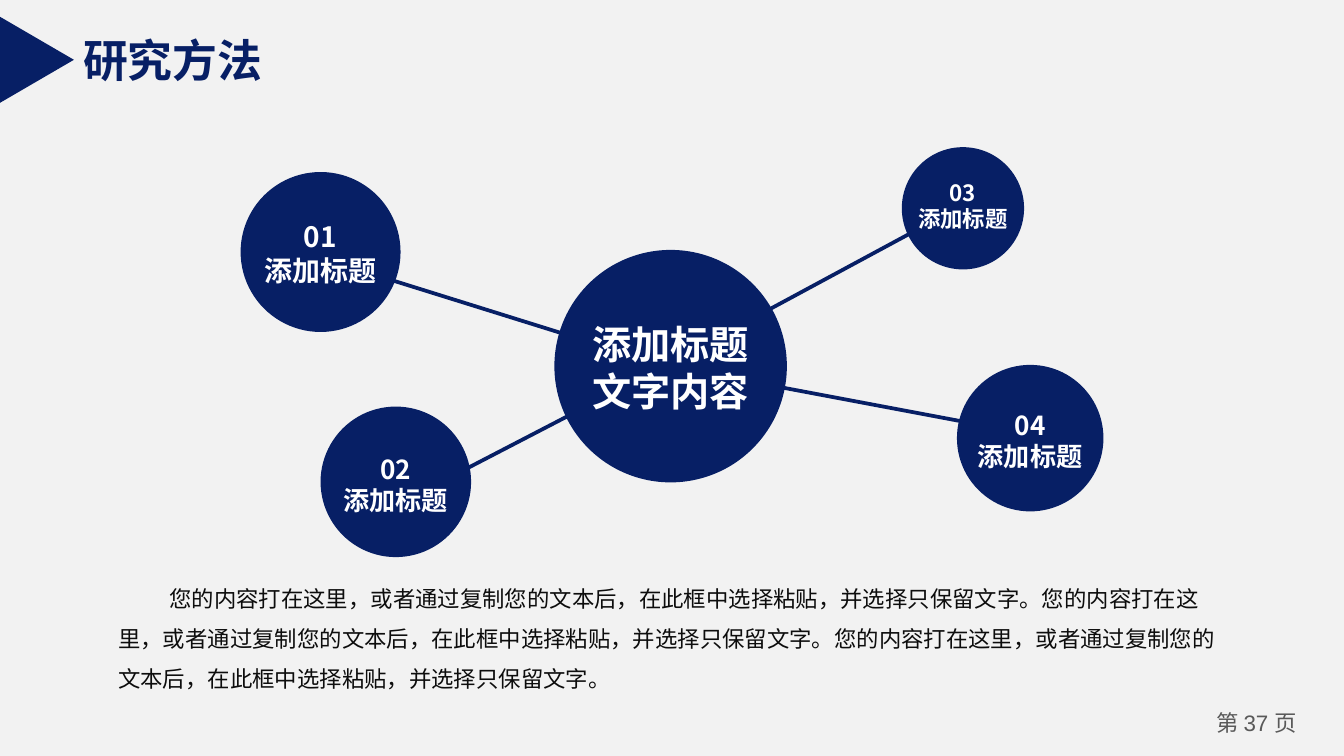
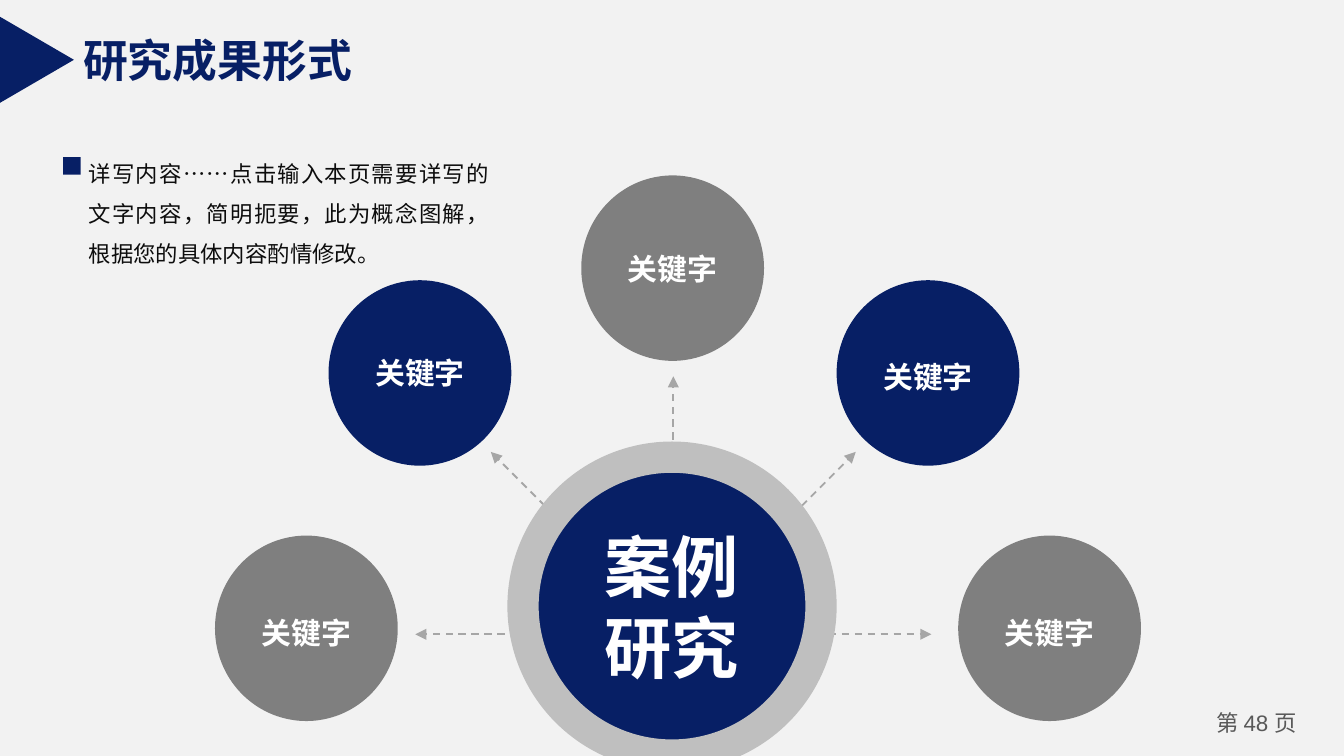
from dataclasses import dataclass
from math import cos, radians, sin

from lxml.etree import SubElement
from pptx import Presentation
from pptx.dml.color import RGBColor
from pptx.enum.dml import MSO_LINE
from pptx.enum.shapes import MSO_CONNECTOR, MSO_SHAPE as Preset
from pptx.enum.text import MSO_ANCHOR as Anchor, PP_ALIGN as Align
from pptx.oxml.ns import qn
from pptx.util import Inches, Pt


@dataclass(frozen=True)
class Theme:
    background: str = "F2F2F2"
    navy: str = "071F65"
    gray: str = "7F7F7F"
    ring: str = "BFBFBF"
    arrow: str = "A6A6A6"
    ink: str = "0D0D0D"
    footer: str = "595959"
    white: str = "FFFFFF"
    font: str = "Noto Sans CJK SC"
    digits: str = "Arial"
    title_size: int = 24
    body_size: int = 12
    keyword_size: int = 16
    hub_sizes: tuple = (21, 36)


theme = Theme()
deck = Presentation()
deck.slide_width = Inches(10)
deck.slide_height = deck.slide_width * 9 // 16
CELL = deck.slide_width / 100  # square grid, 100 columns across the slide


def grid(*cells):
    return [round(count * CELL) for count in cells]


def add_figure(page, preset, area, color):
    figure = page.shapes.add_shape(preset, *grid(*area))
    figure.shadow.inherit = False
    figure.fill.solid()
    figure.fill.fore_color.rgb = RGBColor.from_string(color)
    figure.line.fill.background()
    return figure


def add_text(page, area, lines, size, color, bold=False, align=Align.CENTER,
             anchor=Anchor.MIDDLE, inset=(0, 0), wrap=True, spacing=None):
    """Add a text box; each line is a list of (text, font name) runs."""
    box = page.shapes.add_textbox(*grid(*area))
    frame = box.text_frame
    frame.word_wrap, frame.vertical_anchor = wrap, anchor
    frame.margin_left = frame.margin_right = grid(inset[0])[0]
    frame.margin_top = frame.margin_bottom = grid(inset[1])[0]
    for index, line in enumerate(lines):
        para = frame.add_paragraph() if index else frame.paragraphs[0]
        para.alignment, para.line_spacing = align, spacing
        for text, font_name in line:
            span = para.add_run()
            span.text = text
            span.font.name, span.font.size, span.font.bold = font_name, Pt(size), bold
            span.font.color.rgb = RGBColor.from_string(color)
            SubElement(span.font._element, qn("a:ea"), typeface=font_name)
    return box


# Each disc: center x, center y, width, height, color.
# Each label: center x, center y, width, height, lines, type size.
method_discs = [(49.9, 27.25, 17.3, 17.3, theme.navy)]
method_labels = [(49.9, 27.35, 17.3, 8.1, ["添加标题", "文字内容"], theme.hub_sizes[0])]
for number, x, y, diameter, size, drop in [
    ("03", 71.65, 15.5, 9.1, 12, -0.2),
    ("01", 23.85, 18.75, 11.9, 15, 0.1),
    ("04", 76.65, 32.6, 10.9, 14, 0.2),
    ("02", 29.45, 35.85, 11.2, 14, 0.2),
]:
    method_discs.append((x, y, diameter, diameter, theme.navy))
    method_labels.append((x, y + drop, diameter * 1.5, size * 0.41, [number, "添加标题"], size))

result_discs = [(50, 45.15, 19.8, 19.8, theme.navy)]
result_discs[0] = (49.95, 45.1, 20.5, 20.5, theme.navy)
result_labels = [(49.95, 45.1, 12.9, 13.1, ["案例研究"], theme.hub_sizes[1])]
for x, y, color, drop in [
    (22.8, 46.75, theme.gray, 0.35),
    (31.25, 27.75, theme.navy, 0),
    (50.05, 19.95, theme.gray, 0),
    (69.05, 27.75, theme.navy, 0.25),
    (78.1, 46.75, theme.gray, 0.35),
]:
    result_discs.append((x, y, 13.6, 13.8, color))
    result_labels.append((x, y + drop, 9.7, 3.9, ["关键字"], theme.keyword_size))

ARROW_HUB, ARROW_REACH = (50.1, 47.2), 19.2
arrow_tips = [
    (ARROW_HUB[0] + ARROW_REACH * cos(radians(angle)),
     ARROW_HUB[1] - ARROW_REACH * sin(radians(angle)))
    for angle in (180, 0, 90, 135, 45)
]

contents = [
    dict(title="研究方法", title_width=15.5, number="37", hub=(49.5, 27.2),
         tips=[(27.4, 20.3), (33.7, 35.4), (69.9, 16.2), (76.6, 32.3)],
         line=(theme.navy, 2), arrows=False, discs=method_discs, labels=method_labels),
    dict(title="研究成果形式", title_width=22.2, number="48", hub=ARROW_HUB,
         tips=arrow_tips, line=(theme.arrow, 1), arrows=True,
         discs=result_discs, labels=result_labels),
]
# The hub disc is the first entry of each disc list.

pages = []
for content in contents:
    page = deck.slides.add_slide(deck.slide_layouts[6])
    pages.append(page)
    page.background.fill.solid()
    page.background.fill.fore_color.rgb = RGBColor.from_string(theme.background)

    add_text(page, (89, 52.3, 9, 3),
             [[("第 ", theme.font), (content["number"] + " ", theme.digits), ("页", theme.font)]],
             theme.body_size, theme.footer, inset=(0.7, 0.4))
    add_text(page, (5.2, 1.9, content["title_width"], 5), [[(content["title"], theme.font)]],
             theme.title_size, theme.navy, bold=True, align=Align.LEFT,
             inset=(1, 0.5), wrap=False)
    add_figure(page, Preset.ISOSCELES_TRIANGLE, (-0.45, 1.7, 6.4, 5.5), theme.navy).rotation = 90

    line_color, line_width = content["line"]
    for tip in content["tips"]:
        spoke = page.shapes.add_connector(MSO_CONNECTOR.STRAIGHT, *grid(*content["hub"], *tip))
        spoke.line.color.rgb = RGBColor.from_string(line_color)
        spoke.line.width = Pt(line_width)
        if content["arrows"]:
            spoke.line.dash_style = MSO_LINE.DASH
            SubElement(spoke.line._get_or_add_ln(), qn("a:tailEnd"), type="triangle")
        SubElement(spoke._element.spPr, qn("a:effectLst"))

    for x, y, width, height, color in content["discs"]:
        add_figure(page, Preset.OVAL, (x - width / 2, y - height / 2, width, height), color)
    if content["arrows"]:
        ring = add_figure(page, Preset.DONUT, (37.75, 32.85, 24.5, 24.5), theme.ring)
        ring.adjustments[0] = 0.095
    for x, y, width, height, lines, size in content["labels"]:
        add_text(page, (x - width / 2, y - height / 2, width, height),
                 [[(line, theme.font)] for line in lines], size, theme.white, bold=True)

method_page, result_page = pages
sentence = "您的内容打在这里，或者通过复制您的文本后，在此框中选择粘贴，并选择只保留文字。"
method_body = add_text(method_page, (8.1, 42.1, 83.5, 9.5), [[(sentence * 3, theme.font)]],
                       theme.body_size, theme.ink, align=Align.LEFT, anchor=Anchor.TOP,
                       inset=(0.7, 0.4), spacing=1.5)
method_body.text_frame.paragraphs[0]._p.get_or_add_pPr().set("indent", str(Inches(0.38)))

add_text(result_page, (6.6, 10.9, 29.8, 8.8),
         [[("详写内容……点击输入本页需要详写的文字内容，简明扼要，此为概念图解，"
            "根据您的具体内容酌情修改。", theme.font)]],
         theme.body_size, theme.ink, align=Align.JUSTIFY, anchor=Anchor.TOP, spacing=1.5)
add_figure(result_page, Preset.RECTANGLE, (4.7, 11.7, 1.3, 1.3), theme.navy)

deck.save("out.pptx")
